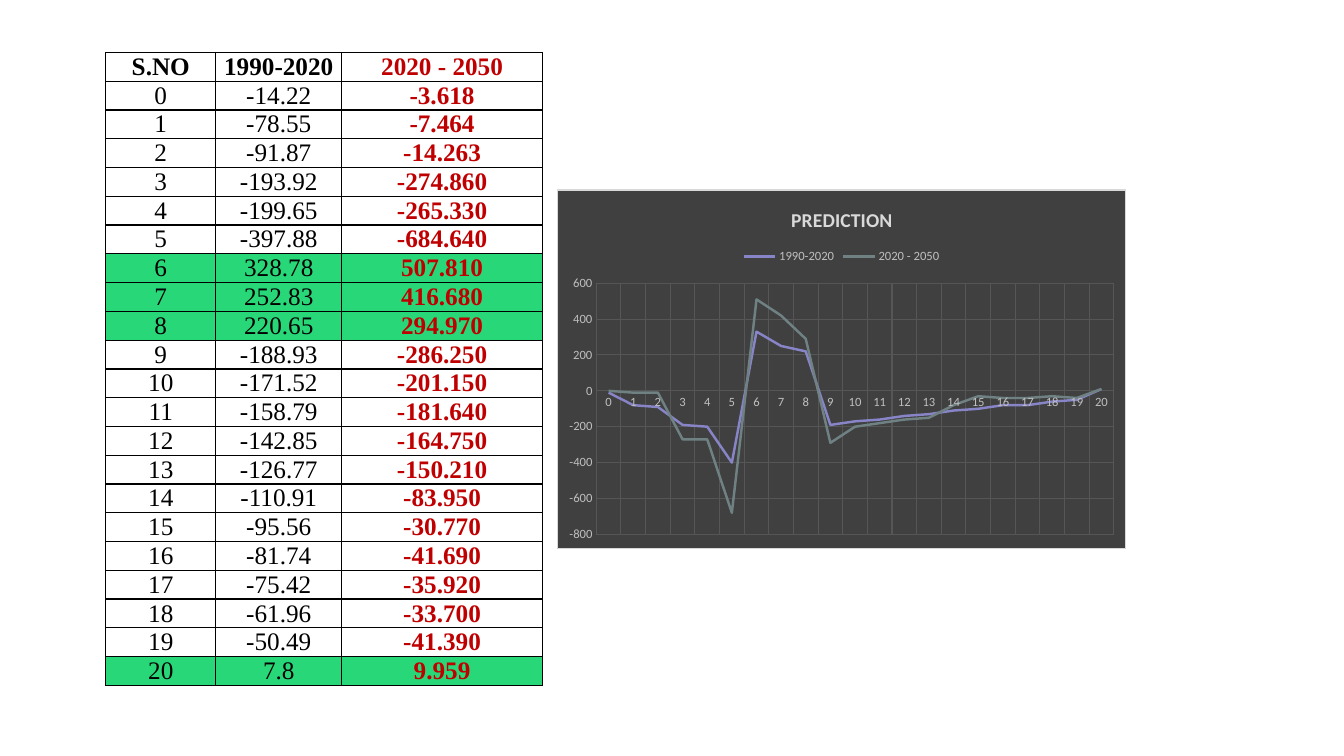
import pptx
import pptx.chart.data
import pptx.dml.color
import pptx.enum.chart
import pptx.enum.text
import pptx.oxml
import pptx.oxml.ns
import pptx.util

Inches, Pt = pptx.util.Inches, pptx.util.Pt
qn = pptx.oxml.ns.qn

COLORS = {
    "black": "000000", "red": "C00000", "green": "28D878",
    "panel": "404040", "frame": "D9D9D9", "grid": "565656", "label": "BFBFBF",
    "past": "8784C7", "future": "6F8183",
}
HEADER = ["S.NO", "1990-2020", "2020 - 2050"]
PAST = [-14.22, -78.55, -91.87, -193.92, -199.65, -397.88, 328.78, 252.83,
        220.65, -188.93, -171.52, -158.79, -142.85, -126.77, -110.91, -95.56,
        -81.74, -75.42, -61.96, -50.49, 7.8]
FUTURE = [-3.618, -7.464, -14.263, -274.860, -265.330, -684.640, 507.810,
          416.680, 294.970, -286.250, -201.150, -181.640, -164.750, -150.210,
          -83.950, -30.770, -41.690, -35.920, -33.700, -41.390, 9.959]


def rgb(name):
    return pptx.dml.color.RGBColor.from_string(COLORS[name])


def set_font(font, color, **values):
    for name, value in values.items():
        setattr(font, name, value)
    font.color.rgb = rgb(color)


def set_line(line, color, width):
    line.color.rgb = rgb(color)
    line.width = Pt(width)


def add_borders(cell):
    tc_pr = cell._tc.get_or_add_tcPr()
    for side in "LRTB":
        tc_pr.append(pptx.oxml.parse_xml(
            f'<a:ln{side} {pptx.oxml.ns.nsdecls("a")} w="12700"><a:solidFill>'
            f'<a:srgbClr val="{COLORS["black"]}"/></a:solidFill></a:ln{side}>'))


def place_part(element, index, **fractions):
    """Place a chart part by fractions of the chart's size."""
    for old in element.findall(qn("c:layout")):
        element.remove(old)
    inner = '<c:layoutTarget val="inner"/>' if element.tag == qn("c:plotArea") else ""
    modes = '<c:xMode val="edge"/><c:yMode val="edge"/>'
    sizes = "".join(f'<c:{k} val="{v}"/>' for k, v in fractions.items())
    element.insert(index, pptx.oxml.parse_xml(
        f'<c:layout {pptx.oxml.ns.nsdecls("c")}><c:manualLayout>'
        f'{inner}{modes}{sizes}</c:manualLayout></c:layout>'))


def add_data_table(slide, left, top, widths, height):
    rows = [HEADER] + [[str(i), str(past), f"{future:.3f}"]
                       for i, (past, future) in enumerate(zip(PAST, FUTURE))]
    table = slide.shapes.add_table(
        len(rows), len(HEADER), Inches(left), Inches(top),
        Inches(sum(widths)), Inches(height)).table
    table.first_row = table.horz_banding = False
    for column, width in zip(table.columns, widths):
        column.width = Inches(width)

    cell_format = {
        "margin_left": Inches(0.01), "margin_right": Inches(0.01),
        "margin_top": 0, "margin_bottom": 0,
        "vertical_anchor": pptx.enum.text.MSO_ANCHOR.MIDDLE,
    }
    for i, row in enumerate(rows):
        table.rows[i].height = Inches(height / len(rows))
        gain = i > 0 and PAST[i - 1] > 0
        for j, text in enumerate(row):
            cell = table.cell(i, j)
            for name, value in cell_format.items():
                setattr(cell, name, value)
            add_borders(cell)
            # Rows with positive values are highlighted
            if gain:
                cell.fill.solid()
                cell.fill.fore_color.rgb = rgb("green")
            else:
                cell.fill.background()
            p = cell.text_frame.paragraphs[0]
            p.alignment = pptx.enum.text.PP_ALIGN.CENTER
            r = p.add_run()
            r.text = text
            set_font(r.font, "red" if j == 2 else "black", size=Pt(18),
                     name="Times New Roman", bold=i == 0 or j == 2)


def add_prediction_chart(slide, left, top, width, height):
    # Values are charted to the nearest ten
    data = pptx.chart.data.CategoryChartData()
    data.categories = [str(i) for i in range(len(PAST))]
    for name, values in zip(HEADER[1:], (PAST, FUTURE)):
        data.add_series(name, [int(round(v, -1)) for v in values])
    chart = slide.shapes.add_chart(
        pptx.enum.chart.XL_CHART_TYPE.LINE, Inches(left), Inches(top),
        Inches(width), Inches(height), data).chart
    set_font(chart.font, "label", size=Pt(9), name="Calibri")

    # Dark panel
    chart_space = chart._chartSpace
    panel = pptx.oxml.parse_xml(
        f'<c:spPr {pptx.oxml.ns.nsdecls("c", "a")}><a:solidFill>'
        f'<a:srgbClr val="{COLORS["panel"]}"/></a:solidFill><a:ln w="9525">'
        f'<a:solidFill><a:srgbClr val="{COLORS["frame"]}"/></a:solidFill>'
        '</a:ln></c:spPr>')
    chart_space.find(qn("c:chart")).addnext(panel)

    # Title and legend
    chart.has_title = True
    title = chart.chart_title
    title.include_in_layout = False
    p = title.text_frame.paragraphs[0]
    r = p.add_run()
    r.text = "PREDICTION"
    set_font(r.font, "frame", size=Pt(14), name="Calibri", bold=True)
    place_part(title._element, 1, x=2.29 / width, y=0.13 / height)
    chart.has_legend = True
    legend = chart.legend
    legend.position = pptx.enum.chart.XL_LEGEND_POSITION.TOP
    legend.include_in_layout = False
    set_font(legend.font, "label", size=Pt(9), name="Calibri")
    place_part(legend._element, 1, x=0.32, y=0.15, w=0.36, h=0.07)

    # Axes
    for axis in (chart.category_axis, chart.value_axis):
        axis.major_tick_mark = pptx.enum.chart.XL_TICK_MARK.NONE
        axis.has_major_gridlines = True
        set_line(axis.major_gridlines.format.line, "grid", 0.75)
        axis.format.line.fill.background()
        set_font(axis.tick_labels.font, "label", size=Pt(9), name="Calibri")
    value_axis = chart.value_axis
    value_axis.minimum_scale, value_axis.maximum_scale = -800, 600
    value_axis.major_unit = 200

    # Series
    plot = chart.plots[0]
    plot.vary_by_categories = False
    for series, color in zip(plot.series, ("past", "future")):
        series.smooth = False
        series.marker.style = pptx.enum.chart.XL_MARKER_STYLE.NONE
        set_line(series.format.line, color, 1.75)
    plot_area = chart_space.find(qn("c:chart")).find(qn("c:plotArea"))
    place_part(plot_area, 0, x=0.39 / width, y=0.26, w=0.91, h=0.7)


def main():
    prs = pptx.Presentation()
    prs.slide_width, prs.slide_height = Inches(13.33), Inches(7.5)
    slide = prs.slides.add_slide(prs.slide_layouts[6])
    add_data_table(slide, 1.05, 0.52, [1.09, 1.25, 1.99], 6.28)
    add_prediction_chart(slide, 5.52, 1.88, 5.65, 3.57)
    prs.save("out.pptx")


if __name__ == "__main__":
    main()
